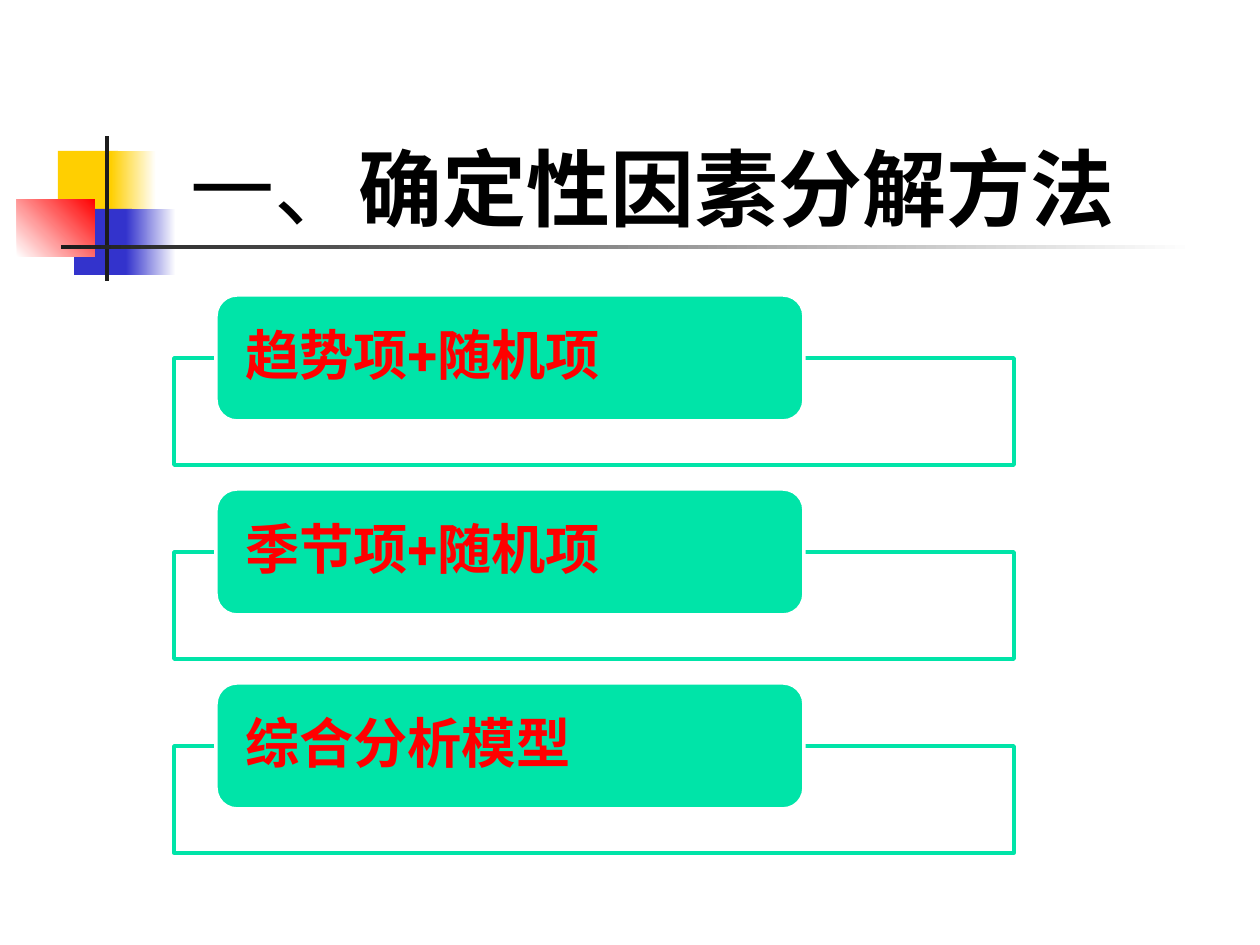
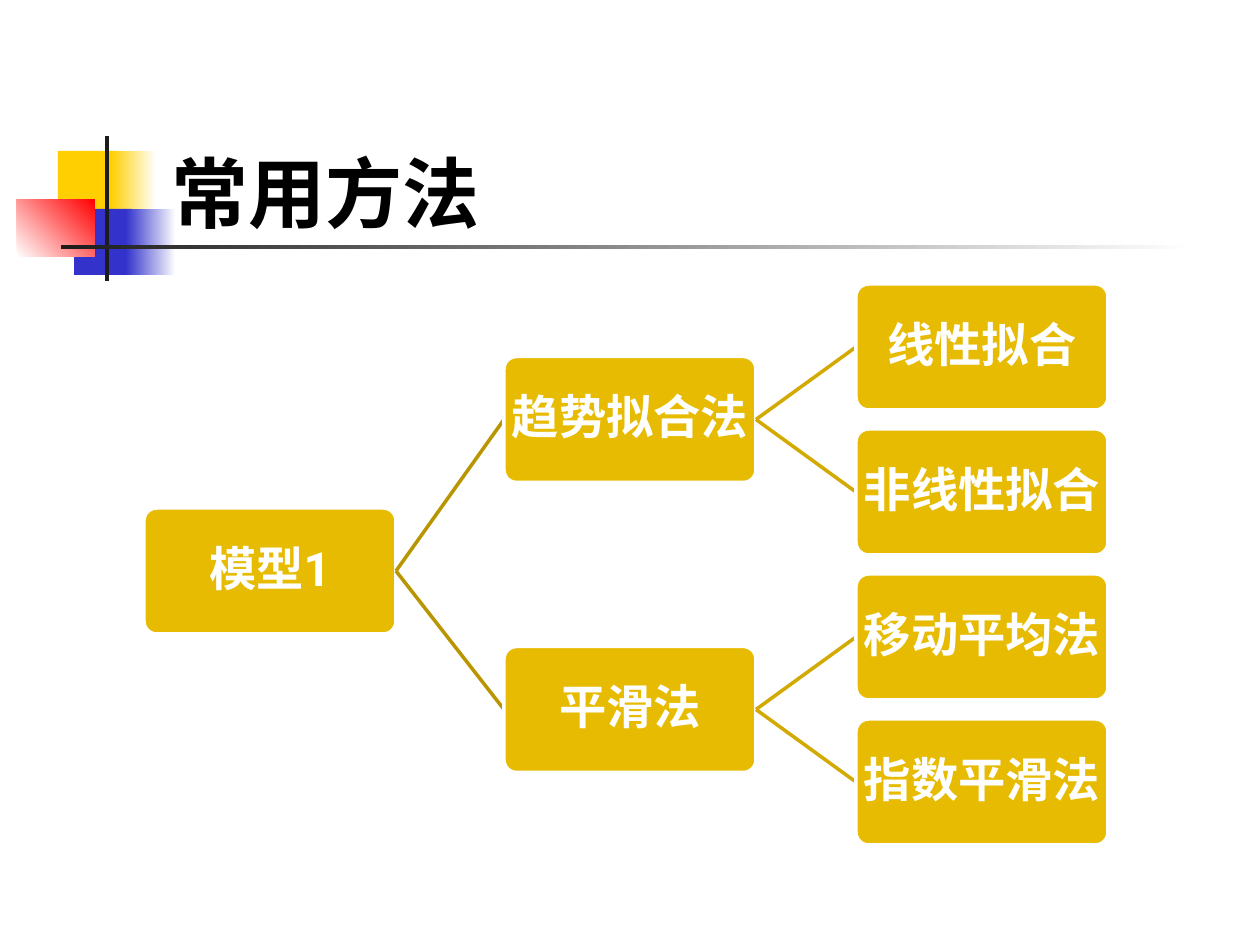
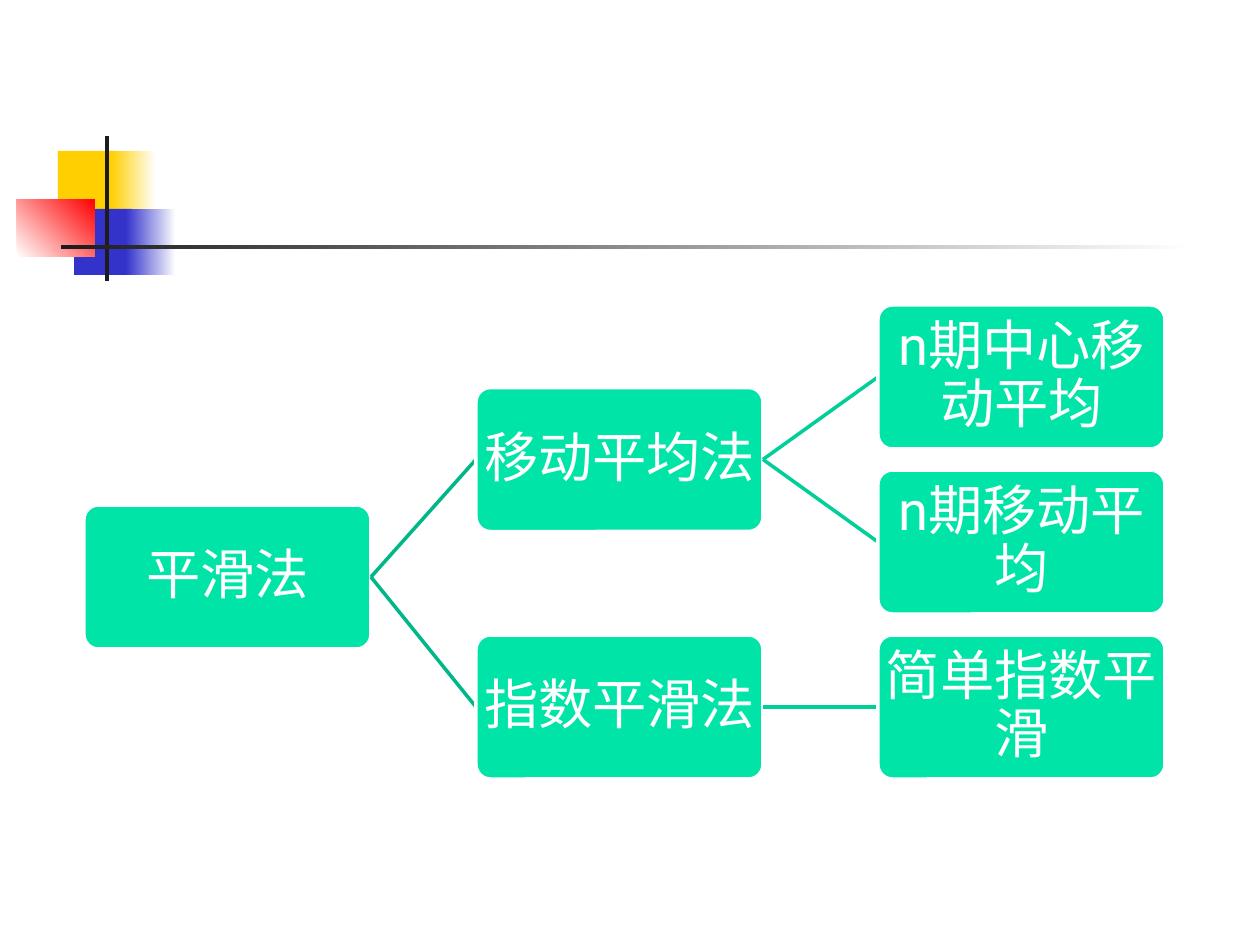
import dataclasses

import pptx
import pptx.dml.color
import pptx.enum.shapes
import pptx.enum.text
import pptx.oxml
import pptx.oxml.ns
import pptx.util

RGBColor = pptx.dml.color.RGBColor
Shape = pptx.enum.shapes.MSO_SHAPE
Align = pptx.enum.text.PP_ALIGN
Anchor = pptx.enum.text.MSO_ANCHOR

WHITE = RGBColor(0xFF, 0xFF, 0xFF)
BLACK = RGBColor(0x00, 0x00, 0x00)
RED = RGBColor(0xFF, 0x00, 0x00)
YELLOW = RGBColor(0xFF, 0xCF, 0x01)
BLUE = RGBColor(0x33, 0x33, 0xCC)
CHARCOAL = RGBColor(0x1C, 0x1C, 0x1C)
GREEN = RGBColor(0x00, 0xE4, 0xA8)
GREEN_DARK = RGBColor(0x00, 0xB7, 0x87)
GREEN_MID = RGBColor(0x00, 0xCF, 0x98)
GOLD = RGBColor(0xE7, 0xBB, 0x01)
GOLD_DARK = RGBColor(0xB9, 0x96, 0x01)
GOLD_MID = RGBColor(0xD2, 0xAA, 0x01)

FONT = "Roboto"
LINE_WIDTH = pptx.util.Pt(2)
TITLE_BOX = (159, 86, 1074, 158)


@dataclasses.dataclass
class TreeStyle:
    node_width: int
    node_height: int
    column_step: tuple
    row_step: int
    root_top: int
    fill: RGBColor
    trunk: RGBColor
    twig: RGBColor
    size: int
    bold: bool


GOLD_TREE = TreeStyle(252, 126, (360, 712), 145, 224,
                      GOLD, GOLD_DARK, GOLD_MID, 27, True)
GREEN_TREE = TreeStyle(287, 144, (392, 794), 165, 200,
                       GREEN, GREEN_DARK, GREEN_MID, 31, False)


def px(length):
    return pptx.util.Emu(round(length * 914400 / 126))


def add_block(slide, box, fill, kind=Shape.RECTANGLE, line=None):
    shape = slide.shapes.add_shape(kind, *map(px, box))
    shape.shadow.inherit = False
    shape.fill.solid()
    shape.fill.fore_color.rgb = fill
    if line is None:
        shape.line.fill.background()
    else:
        shape.line.color.rgb = line
        shape.line.width = LINE_WIDTH
    return shape


def add_fade(slide, box, start, end, angle=0):
    shape = add_block(slide, box, start)
    shape.fill.gradient()
    shape.fill.gradient_angle = angle
    for stop, color in zip(shape.fill.gradient_stops, (start, end)):
        stop.color.rgb = color


def add_run(paragraph, text, size, color, bold):
    run = paragraph.add_run()
    run.text = text
    run.font.name = FONT
    run.font.size = pptx.util.Pt(size)
    run.font.color.rgb = color
    run.font.bold = bold


def add_label(shape, text, size, color, bold, align, inset_x, inset_y):
    frame = shape.text_frame
    frame.word_wrap = True
    frame.vertical_anchor = Anchor.MIDDLE
    frame.margin_left = frame.margin_right = px(inset_x)
    frame.margin_top = frame.margin_bottom = px(inset_y)
    paragraph = frame.paragraphs[0]
    paragraph.alignment = align
    paragraph.line_spacing = 0.9
    paragraph.space_after = pptx.util.Pt(round(size * 0.35))
    add_run(paragraph, text, size, color, bold)


def add_ornament(slide, left, top):
    def place(x, y, width, height):
        return left + x, top + y, width, height

    add_block(slide, place(41, 15, 60, 66), YELLOW)
    add_fade(slide, place(94, 15, 45, 66), YELLOW, WHITE)
    add_block(slide, place(57, 73, 58, 66), BLUE)
    add_fade(slide, place(109, 73, 50, 66), BLUE, WHITE)
    add_fade(slide, place(0, 63, 78, 58), WHITE, RED, 45)
    add_block(slide, place(88, 0, 4, 145), CHARCOAL)
    add_fade(slide, place(44, 109, 1134, 4), CHARCOAL, WHITE)


def add_title(slide, runs, size):
    frame = slide.shapes.add_textbox(*map(px, TITLE_BOX)).text_frame
    frame.word_wrap = True
    frame.vertical_anchor = Anchor.BOTTOM
    for text, bold in runs:
        add_run(frame.paragraphs[0], text, size, BLACK, bold)


def add_tab_cards(slide, left, top, width, labels):
    step, tab_height, frame_height = 194, 126, 107
    for index, label in enumerate(labels):
        tab_top = top + index * step
        add_block(slide, (left, tab_top + tab_height // 2, width, frame_height),
                  WHITE, line=GREEN)
        tab = add_block(slide, (left + 42, tab_top, 588, tab_height),
                        GREEN, Shape.ROUNDED_RECTANGLE, WHITE)
        add_label(tab, label, 31, RED, True, Align.LEFT, 23, 0)


def add_branch_line(slide, start, end, color):
    connector = slide.shapes.add_connector(
        pptx.enum.shapes.MSO_CONNECTOR.STRAIGHT, *map(px, start + end))
    connector.line.color.rgb = color
    connector.line.width = LINE_WIDTH
    properties = connector._element.spPr
    properties.append(pptx.oxml.parse_xml(
        "<a:effectLst %s/>" % pptx.oxml.ns.nsdecls("a")))


def add_tree(slide, left, top, style, root, branches):
    columns = [left] + [left + step for step in style.column_step]
    half = style.node_height / 2

    def add_node(column, y, text):
        node = add_block(
            slide, (columns[column], y, style.node_width, style.node_height),
            style.fill, Shape.ROUNDED_RECTANGLE, WHITE)
        node.adjustments[0] = 0.1
        add_label(node, text, style.size, WHITE, style.bold, Align.CENTER, 2, 2)

    def add_child(column, parent_y, y, text, color):
        start = (columns[column - 1] + style.node_width, parent_y + half)
        add_branch_line(slide, start, (columns[column], y + half), color)
        add_node(column, y, text)

    root_y = top + style.root_top
    add_node(0, root_y, root)
    row = 0
    for branch, leaves in branches.items():
        leaf_tops = [top + (row + index) * style.row_step
                     for index in range(len(leaves))]
        row += len(leaves)
        branch_y = sum(leaf_tops) / len(leaf_tops)
        add_child(1, root_y, branch_y, branch, style.trunk)
        for leaf, leaf_y in zip(leaves, leaf_tops):
            add_child(2, branch_y, leaf_y, leaf, style.twig)


def add_slide(presentation, title_runs=(), title_size=44):
    slide = presentation.slides.add_slide(presentation.slide_layouts[6])
    add_ornament(slide, 17, 136)
    if title_runs:
        add_title(slide, title_runs, title_size)
    return slide


def main():
    presentation = pptx.Presentation()
    presentation.slide_width = px(1260)
    presentation.slide_height = px(945)

    slide = add_slide(presentation,
                      [(" ", True), ("一、", False), ("确定性因素分解方法", True)], 48)
    add_tab_cards(slide, 174, 295, 840,
                  ["趋势项+随机项", "季节项+随机项", "综合分析模型"])

    slide = add_slide(presentation, [("常用方法", True)])
    add_tree(slide, 144, 284, GOLD_TREE, "模型1", {
        "趋势拟合法": ["线性拟合", "非线性拟合"],
        "平滑法": ["移动平均法", "指数平滑法"],
    })

    slide = add_slide(presentation)
    add_tree(slide, 84, 305, GREEN_TREE, "平滑法", {
        "移动平均法": ["n期中心移动平均", "n期移动平均"],
        "指数平滑法": ["简单指数平滑"],
    })

    presentation.save("out.pptx")


if __name__ == "__main__":
    main()
